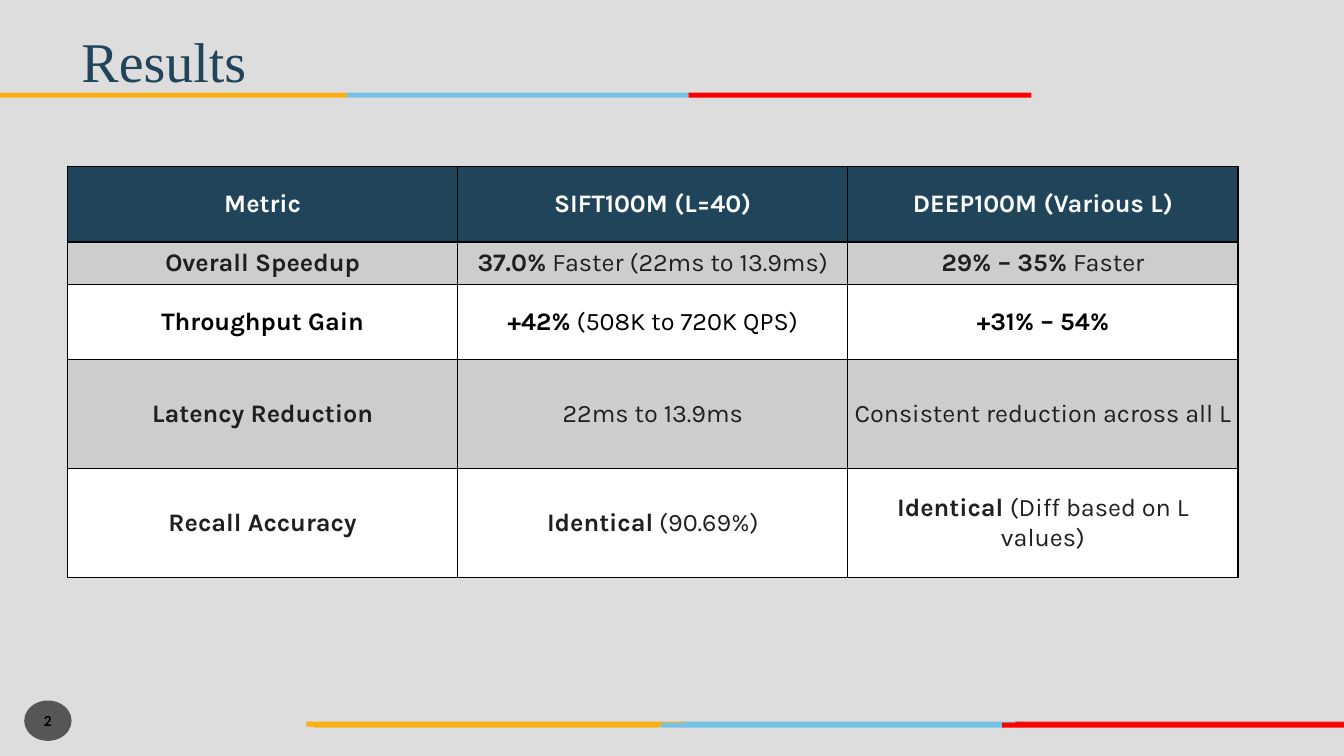
"""Build the results slide with its metric table and colour stripes."""
from typing import NamedTuple

from lxml import etree
from pptx import Presentation
from pptx.dml.color import RGBColor
from pptx.enum.shapes import MSO_SHAPE
from pptx.enum.text import MSO_ANCHOR, MSO_AUTO_SIZE, PP_ALIGN
from pptx.oxml.ns import qn
from pptx.util import Inches, Pt

RECTANGLE, OVAL = MSO_SHAPE.RECTANGLE, MSO_SHAPE.OVAL
MIDDLE, CENTER, LEFT = MSO_ANCHOR.MIDDLE, PP_ALIGN.CENTER, PP_ALIGN.LEFT
GROW = MSO_AUTO_SIZE.SHAPE_TO_FIT_TEXT

COLORS = {
    "page": "DDDDDD", "navy": "20455A", "amber": "FCB017", "sky": "76C2E5",
    "crimson": "E31C24", "red": "FF0000", "badge": "1D1D1D", "ink": "1F1F1F",
    "black": "000000", "white": "FFFFFF", "band": "CDCDCD",
}
CELL_FORMAT = {
    "vertical_anchor": MIDDLE,
    "margin_left": Inches(0.06), "margin_right": Inches(0.06),
    "margin_top": Inches(0.04), "margin_bottom": Inches(0.04),
}
BADGE_FORMAT = {
    "vertical_anchor": MIDDLE,
    "margin_left": Inches(0.02), "margin_right": Inches(0.02),
    "margin_top": Inches(0.05), "margin_bottom": Inches(0.05),
}
TITLE_FORMAT = {"word_wrap": False, "auto_size": GROW}


class Stripe(NamedTuple):
    left: float
    top: float
    width: float
    color: str


class Span(NamedTuple):
    text: str
    bold: bool = False


class Style(NamedTuple):
    font: str
    size: float
    color: str


class Row(NamedTuple):
    height: float
    fill: str
    color: str
    cells: list[list[Span]]


STRIPES = [
    Stripe(6.75, 7.16, 3.4, "sky"),
    Stripe(10.07, 7.16, 3.26, "crimson"),
    Stripe(3.04, 7.16, 3.76, "amber"),
    Stripe(6.56, 7.17, 3.4, "sky"),
    Stripe(3.11, 7.17, 3.44, "amber"),
    Stripe(9.94, 7.17, 3.4, "red"),
    Stripe(3.44, 0.92, 3.4, "sky"),
    Stripe(0, 0.92, 3.44, "amber"),
    Stripe(6.83, 0.92, 3.4, "red"),
]
ROWS = [
    Row(0.75, "navy", "white", [
        [Span("Metric", True)],
        [Span("SIFT100M (L=40)", True)],
        [Span("DEEP100M (Various L)", True)]]),
    Row(0.42, "band", "ink", [
        [Span("Overall Speedup", True)],
        [Span("37.0%", True), Span(" Faster (22ms to 13.9ms)")],
        [Span("29% – 35%", True), Span(" Faster")]]),
    Row(0.75, "white", "black", [
        [Span("Throughput Gain", True)],
        [Span("+42%", True), Span(" (508K to 720K QPS)")],
        [Span("+31% – 54%", True)]]),
    Row(1.08, "band", "ink", [
        [Span("Latency Reduction", True)],
        [Span("22ms to 13.9ms")],
        [Span("Consistent reduction across all L")]]),
    Row(1.08, "white", "ink", [
        [Span("Recall Accuracy", True)],
        [Span("Identical", True), Span(" (90.69%)")],
        [Span("Identical ", True), Span("(Diff based on L values)")]]),
]
COLUMN_WIDTH = 3.87


def rgb(name: str) -> RGBColor:
    return RGBColor.from_string(COLORS[name])


def apply_format(target, values: dict) -> None:
    for name, value in values.items():
        setattr(target, name, value)


def paint(target, color: str) -> None:
    target.fill.solid()
    target.fill.fore_color.rgb = rgb(color)


def write(frame, spans: list[Span], style: Style, align=CENTER) -> None:
    para = frame.paragraphs[0]
    para.alignment = align
    for span in spans:
        run = para.add_run()
        run.text = span.text
        apply_format(run.font, {"name": style.font, "size": Pt(style.size), "bold": span.bold})
        run.font.color.rgb = rgb(style.color)


def add_plain_shape(page, kind, box: tuple[float, ...], color: str):
    shape = page.shapes.add_shape(kind, *map(Inches, box))
    shape.shadow.inherit = False
    shape.line.fill.background()
    paint(shape, color)
    return shape


def add_badge(page) -> None:
    badge = add_plain_shape(page, OVAL, (0.24, 6.95, 0.47, 0.4), "badge")
    color = badge.fill._xPr.find(qn("a:solidFill"))[0]
    etree.SubElement(color, qn("a:alpha"), val="70000")
    apply_format(badge.text_frame, BADGE_FORMAT)
    write(badge.text_frame, [Span("2", True)], Style("Calibri", 11, "black"))


def add_title(page) -> None:
    box = page.shapes.add_textbox(*map(Inches, (0.71, 0.21, 1.86, 0.77)))
    apply_format(box.text_frame, TITLE_FORMAT)
    write(box.text_frame, [Span("Results")], Style("Times New Roman", 40, "navy"), LEFT)


def add_borders(cell) -> None:
    properties = cell._tc.get_or_add_tcPr()
    for index, side in enumerate(("lnL", "lnR", "lnT", "lnB")):
        line = etree.Element(qn(f"a:{side}"), w=str(Pt(1)))
        fill = etree.SubElement(line, qn("a:solidFill"))
        etree.SubElement(fill, qn("a:srgbClr"), val=COLORS["black"])
        properties.insert(index, line)


def add_results_table(page) -> None:
    columns = len(ROWS[0].cells)
    height = sum(row.height for row in ROWS)
    box = map(Inches, (0.67, 1.65, COLUMN_WIDTH * columns, height))
    table = page.shapes.add_table(len(ROWS), columns, *box).table
    for column in table.columns:
        column.width = Inches(COLUMN_WIDTH)
    for row_index, row in enumerate(ROWS):
        table.rows[row_index].height = Inches(row.height)
        for column_index, spans in enumerate(row.cells):
            cell = table.cell(row_index, column_index)
            apply_format(cell, CELL_FORMAT)
            paint(cell, row.fill)
            add_borders(cell)
            write(cell.text_frame, spans, Style("Karla", 18, row.color))


def main() -> None:
    deck = Presentation()
    deck.slide_width, deck.slide_height = Inches(13.33), Inches(7.5)
    page = deck.slides.add_slide(deck.slide_layouts[6])
    paint(page.background, "page")
    for stripe in STRIPES:
        box = (stripe.left, stripe.top, stripe.width, 0.05)
        add_plain_shape(page, RECTANGLE, box, stripe.color)
    add_badge(page)
    add_title(page)
    add_results_table(page)
    deck.save("out.pptx")


if __name__ == "__main__":
    main()
